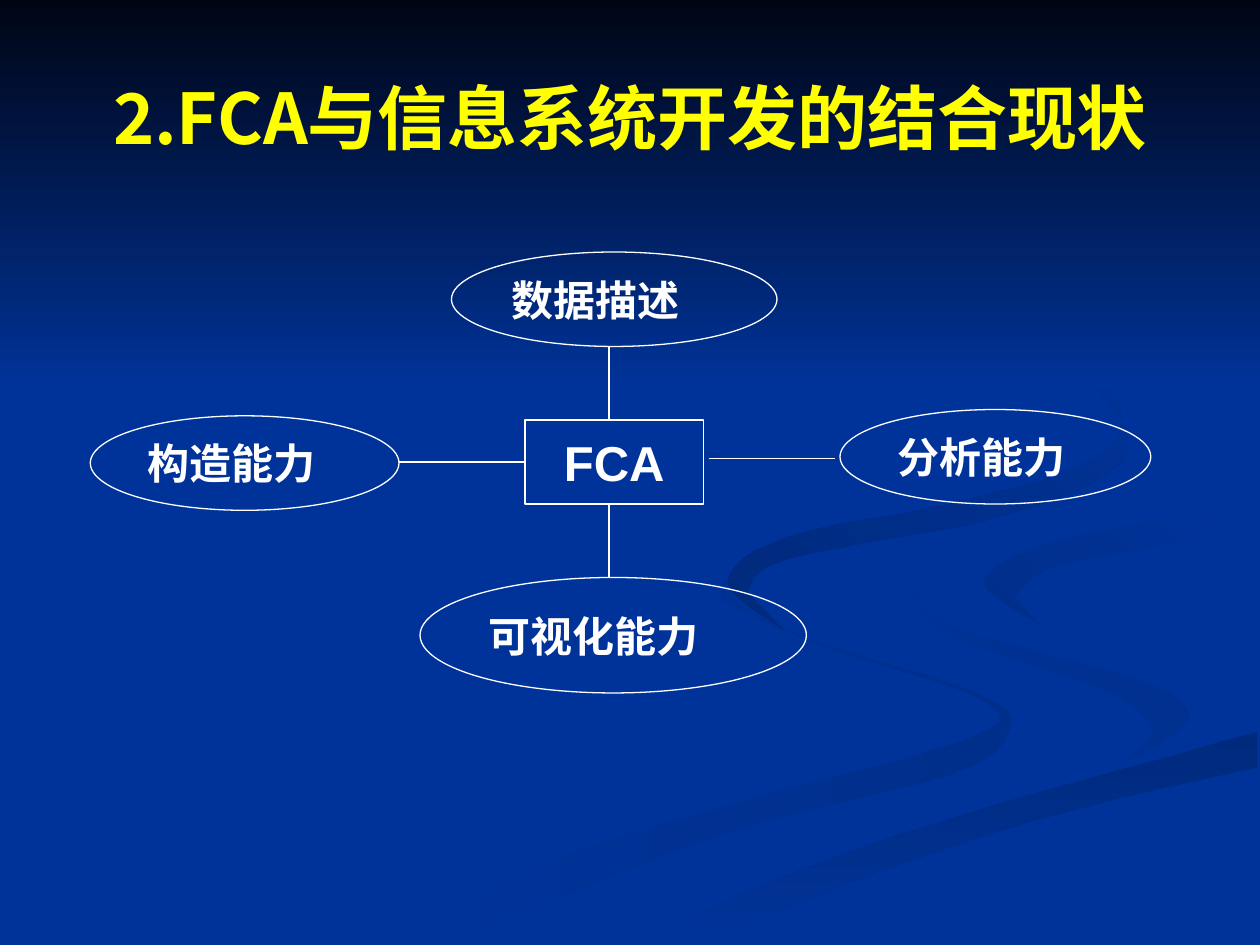
from lxml import etree
from pptx import Presentation
from pptx.dml.color import RGBColor
from pptx.enum.shapes import MSO_CONNECTOR, MSO_SHAPE
from pptx.enum.text import MSO_ANCHOR, PP_ALIGN
from pptx.oxml.ns import qn
from pptx.util import Inches, Pt

RECTANGLE, OVAL = MSO_SHAPE.RECTANGLE, MSO_SHAPE.OVAL
STRAIGHT = MSO_CONNECTOR.STRAIGHT
MIDDLE, LEFT, CENTER = MSO_ANCHOR.MIDDLE, PP_ALIGN.LEFT, PP_ALIGN.CENTER

THEME = {
    "ground": "003399", "night": "000514", "title": "FFFF00", "ink": "FFFFFF",
    "ribbon": "002E8B", "ribbon_dark": "002A7D",
    "title_font": "Noto Sans CJK SC", "body_font": "Arial",
    "title_size": 40, "hub_size": 28, "ability_size": 24, "line": 0.75,
}

# Content: boxes are (column, row, columns, rows) on a grid of 120 x 90 cells
COLUMNS, ROWS = 120, 90
TITLE = ("2.FCA与信息系统开发的结合现状", (6, 3.6, 108, 15))
HUB = ("FCA", (50, 40, 17, 8))
# label, ellipse, spoke (from column, from row, to column, to row)
ABILITIES = [
    ("数据描述", (43, 24, 31, 9), (58, 33, 58, 40)),
    ("构造能力", (8.6, 39.6, 29.4, 9), (38, 44, 50, 44)),
    ("分析能力", (80, 39, 29.6, 9), (67.5, 43.7, 79.5, 43.7)),
    ("可视化能力", (40, 55, 36.8, 11), (58, 48, 58, 55)),
]
NIGHT_BAND = (0, 0, 120, 37)

# Background ribbons: first colour, last colour, clockwise angle, two edges.
# Edges are smooth curves through points in thousandths of the slide width.
RIBBONS = [
    ("ground", "ribbon", 0,
     [(575, 459), (583, 477), (642, 507), (781, 553), (800, 581), (756, 614),
      (564, 665), (361, 749)],
     [(300, 749), (417, 690), (579, 639), (767, 587), (781, 556), (654, 513),
      (572, 476)]),
    ("ground", "ribbon", 315,
     [(724, 464), (758, 498), (905, 540), (943, 571), (894, 605)],
     [(917, 580), (880, 549), (755, 505), (724, 470)]),
    ("ribbon_dark", "ground", 90,
     [(503, 749), (630, 693), (764, 647), (998, 581)],
     [(998, 609), (821, 651), (649, 710), (571, 749)]),
    ("ribbon", "ground", 315,
     [(998, 402), (850, 427), (781, 460), (826, 496)],
     [(805, 474), (843, 448), (998, 420)]),
    ("ribbon_dark", "ground", 315,
     [(762, 233), (876, 306), (876, 360), (763, 398), (625, 426), (577, 462),
      (622, 500)],
     [(593, 470), (624, 444), (786, 412), (876, 378), (893, 340), (843, 275)]),
]
CURVE_STEPS = 6

prs = Presentation()
prs.slide_width, prs.slide_height = Inches(10), Inches(7.5)
CELL_W, CELL_H = prs.slide_width / COLUMNS, prs.slide_height / ROWS
slide = prs.slides.add_slide(prs.slide_layouts[6])
shapes = slide.shapes


def colour(key):
    return RGBColor.from_string(THEME[key])


def place(box):
    return [round(n * cell) for n, cell in zip(box, (CELL_W, CELL_H) * 2)]


def smooth_edge(points):
    """Catmull-Rom curve through the points, as short segments."""
    padded = [points[0], *points, points[-1]]
    curve = [points[0]]
    for before, start, end, after in zip(padded, padded[1:], padded[2:], padded[3:]):
        for step in range(1, CURVE_STEPS + 1):
            t = step / CURVE_STEPS
            curve.append(tuple(
                b + t / 2 * (c - a + t * (2 * a - 5 * b + 4 * c - d
                                          + t * (3 * b - a - 3 * c + d)))
                for a, b, c, d in zip(before, start, end, after)))
    return curve


def paint(part, first, last, clockwise):
    part.shadow.inherit = False
    part.line.fill.background()
    part.fill.gradient()
    part.fill.gradient_angle = (360 - clockwise) % 360
    for stop, key in zip(part.fill.gradient_stops, (first, last)):
        stop.color.rgb = colour(key)


def outline(part):
    part.line.color.rgb = colour("ink")
    part.line.width = Pt(THEME["line"])


def write(part, text, size, align, font="body_font", ink="ink", wrap=True):
    frame = part.text_frame
    frame.text = text
    frame.word_wrap = wrap
    frame.vertical_anchor = MIDDLE
    paragraph = frame.paragraphs[0]
    paragraph.alignment = align
    run = paragraph.runs[0]
    run.font.size, run.font.bold = Pt(THEME[size]), True
    run.font.name = THEME[font]
    run.font.color.rgb = colour(ink)
    east_asian = etree.SubElement(run.font._element, qn("a:ea"))
    east_asian.set("typeface", THEME["title_font"])


def add_node(kind, box, text, size, align, wrap=True):
    node = shapes.add_shape(kind, *place(box))
    node.shadow.inherit = False
    node.fill.background()
    outline(node)
    write(node, text, size, align, wrap=wrap)


# Background
slide.background.fill.solid()
slide.background.fill.fore_color.rgb = colour("ground")
for first, last, clockwise, *edges in RIBBONS:
    start, *rest = [point for edge in edges for point in smooth_edge(edge)]
    builder = shapes.build_freeform(*start, scale=prs.slide_width / 1000)
    builder.add_line_segments(rest, close=True)
    paint(builder.convert_to_shape(), first, last, clockwise)
paint(shapes.add_shape(RECTANGLE, *place(NIGHT_BAND)), "night", "ground", 90)

# Title
title_text, title_box = TITLE
write(shapes.add_textbox(*place(title_box)), title_text, "title_size", CENTER,
      font="title_font", ink="title")

# Hub, then each spoke with its ability
hub_text, hub_box = HUB
add_node(RECTANGLE, hub_box, hub_text, "hub_size", CENTER, wrap=False)
for label, ellipse, ends in ABILITIES:
    spoke = shapes.add_connector(STRAIGHT, *place(ends))
    outline(spoke)
    etree.SubElement(spoke._element.spPr, qn("a:effectLst"))
    add_node(OVAL, ellipse, label, "ability_size", LEFT)

prs.save("out.pptx")
